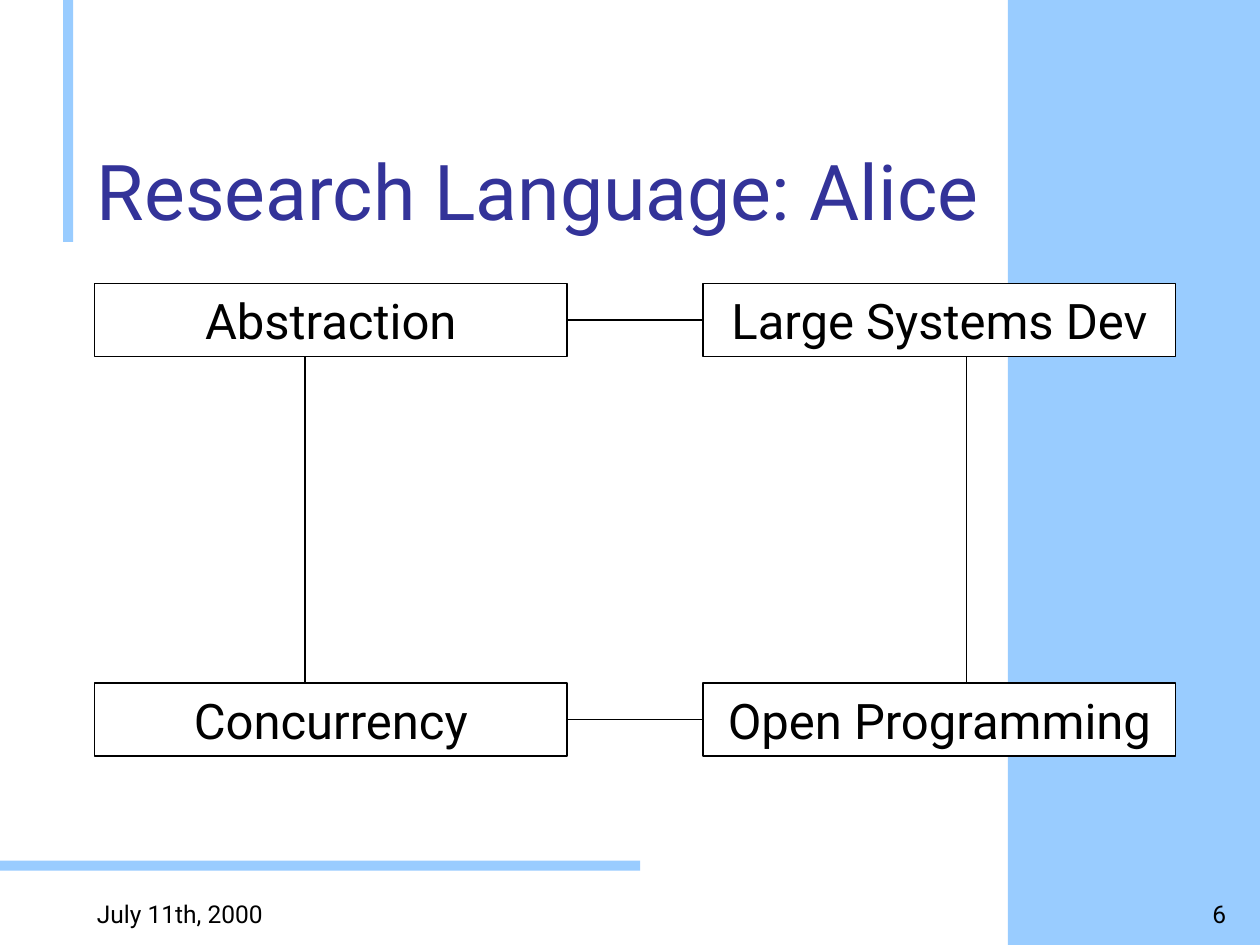
from pptx import Presentation
from pptx.dml.color import RGBColor
from pptx.enum.shapes import MSO_CONNECTOR, MSO_SHAPE
from pptx.enum.text import MSO_ANCHOR, PP_ALIGN
from pptx.oxml import parse_xml
from pptx.oxml.ns import nsdecls
from pptx.util import Inches, Pt

SKY = RGBColor(0x99, 0xCC, 0xFF)
INDIGO = RGBColor(0x33, 0x33, 0x99)
BLACK = RGBColor(0, 0, 0)
WHITE = RGBColor(0xFF, 0xFF, 0xFF)
FONT = "Roboto"


def write(shape, text, size, color=BLACK, align=PP_ALIGN.LEFT, anchor=MSO_ANCHOR.BOTTOM):
    """Fill a shape with one styled line of text."""
    tf = shape.text_frame
    tf.word_wrap = True
    tf.vertical_anchor = anchor
    tf.text = text
    p = tf.paragraphs[0]
    p.alignment = align
    font = p.runs[0].font
    font.name, font.size, font.color.rgb = FONT, Pt(size), color


def add_rect(s, x, y, w, h, fill, line=None):
    """Add a flat rectangle with an optional outline."""
    sp = s.shapes.add_shape(MSO_SHAPE.RECTANGLE, Inches(x), Inches(y), Inches(w), Inches(h))
    sp.shadow.inherit = False
    sp.fill.solid()
    sp.fill.fore_color.rgb = fill
    if line is None:
        sp.line.fill.background()
    else:
        sp.line.color.rgb = line
        sp.line.width = Pt(0.75)
    return sp


def add_label(s, x, y, w, h, text, size, **style):
    """Add a text box with one line of text."""
    write(s.shapes.add_textbox(Inches(x), Inches(y), Inches(w), Inches(h)), text, size, **style)


def add_line(s, x1, y1, x2, y2):
    """Add a thin black straight connector."""
    line = s.shapes.add_connector(
        MSO_CONNECTOR.STRAIGHT, Inches(x1), Inches(y1), Inches(x2), Inches(y2))
    line.line.color.rgb = BLACK
    line.line.width = Pt(0.75)
    line._element.spPr.append(parse_xml(f"<a:effectLst {nsdecls('a')}/>"))
    return line


def add_decoration(s, w, h):
    """Add the side panel and the two accent bars."""
    add_rect(s, w - 2, 0, 2, h, SKY)
    add_rect(s, 0.5, 0, 0.08, 1.92, SKY)
    add_rect(s, 0, 6.83, 5.08, 0.08, SKY)


def add_topic_square(s, x, y, w, h):
    """Place four linked topics at the corners of the given box."""
    box_w, box_h = 3.75, 0.58
    right, lower = x + w - box_w, y + h - box_h
    rows = [(y, ("Abstraction", "Large Systems Dev")),
            (lower, ("Concurrency", "Open Programming"))]
    for top, topics in rows:
        pair = []
        for left, topic in zip((x, right), topics):
            sp = add_rect(s, left, top, box_w, box_h, WHITE, BLACK)
            write(sp, topic, 28, align=PP_ALIGN.CENTER, anchor=MSO_ANCHOR.MIDDLE)
            pair.append(sp)
        middle = top + box_h / 2
        link = add_line(s, x + box_w, middle, right, middle)
        link.begin_connect(pair[0], 3)
        link.end_connect(pair[1], 1)
    for link_x in (x + 1.67, x + w - 1.66):
        add_line(s, link_x, y + box_h, link_x, lower)


def add_footer(s, x, y, w, h):
    """Place the date at the left and the slide number at the right."""
    add_label(s, x, y, 7.25, h, "July 11th, 2000", 14)
    add_label(s, x + w - 1.75, y, 1.75, h, "6", 14, align=PP_ALIGN.RIGHT)


def main():
    """Build and save the slide."""
    prs = Presentation()
    prs.slide_width, prs.slide_height = Inches(10), Inches(7.5)
    s = prs.slides.add_slide(prs.slide_layouts[6])
    add_decoration(s, 10, 7.5)
    add_label(s, 0.67, 0.67, 7.33, 1.25, "Research Language: Alice", 44, color=INDIGO)
    add_topic_square(s, 0.75, 2.25, 8.58, 3.75)
    add_footer(s, 0.67, 6.92, 9.16, 0.5)
    prs.save("out.pptx")


if __name__ == "__main__":
    main()
